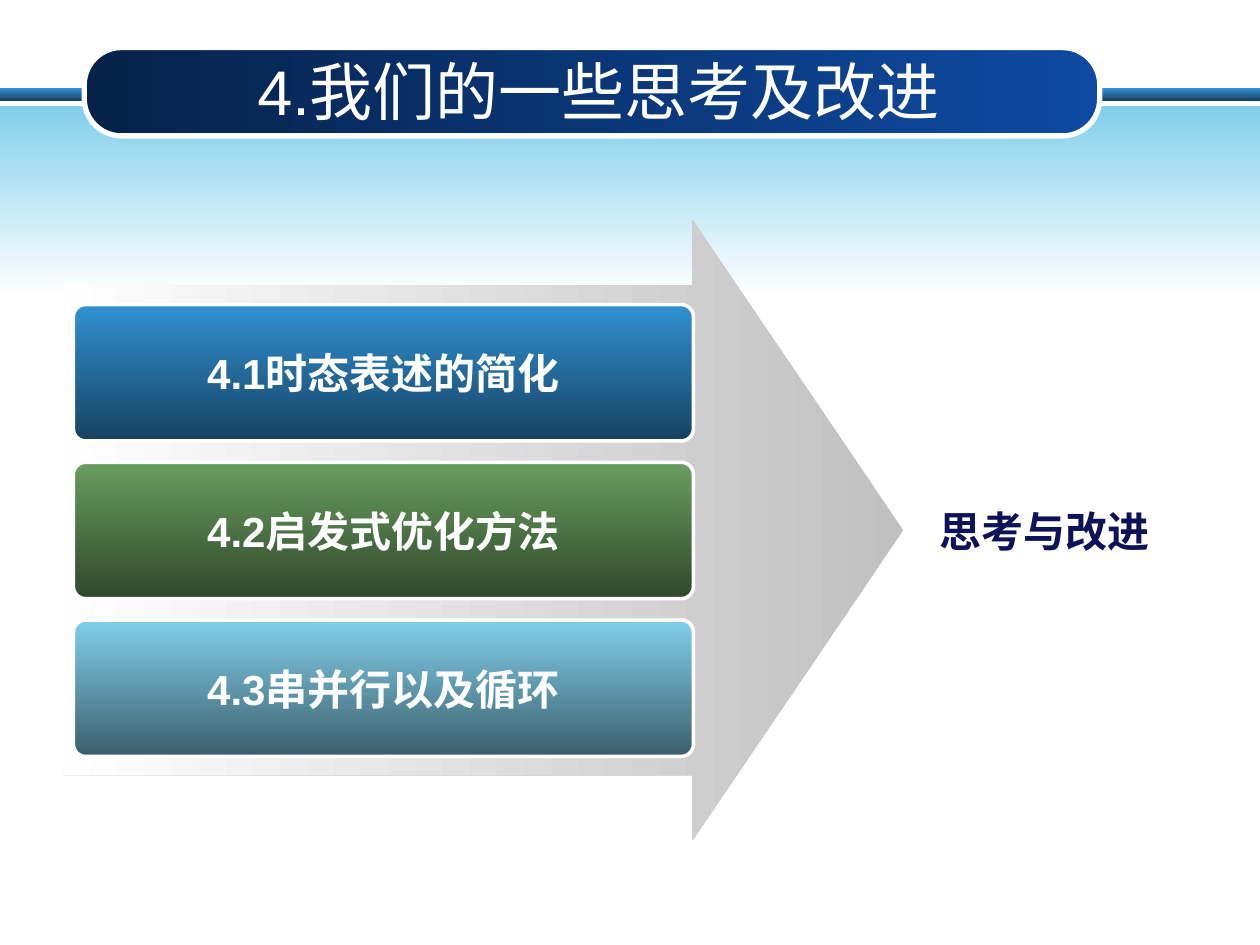
from pptx import Presentation
from pptx.dml.color import RGBColor
from pptx.enum.shapes import MSO_SHAPE
from pptx.enum.text import MSO_ANCHOR, PP_ALIGN
from pptx.util import Cm, Pt

RECTANGLE = MSO_SHAPE.RECTANGLE
ROUNDED = MSO_SHAPE.ROUNDED_RECTANGLE
RIGHT_ARROW = MSO_SHAPE.RIGHT_ARROW
MIDDLE = MSO_ANCHOR.MIDDLE
CENTER = PP_ALIGN.CENTER

# Content
TITLE = "4.我们的一些思考及改进"
TOPICS = [
    ("4.1时态表述的简化", "blue"),
    ("4.2启发式优化方法", "green"),
    ("4.3串并行以及循环", "sky"),
]
CONCLUSION = "思考与改进"

# Each gradient: start colour, end colour, clockwise angle
THEME = {
    "font": "Arial",
    "title_size": 36,
    "body_size": 24,
    "white": "FFFFFF",
    "navy": "0D1259",
    "blue": ("3191D3", "164261", 90),
    "green": ("699D5F", "30482B", 90),
    "sky": ("81CFEB", "3B5F6C", 90),
    "haze": ("81CFEB", "FEFEFE", 90),
    "title_pill": ("0E4AA2", "06224A", 180),
    "arrow": ("C0C0C0", "FEFEFE", 180),
}

# Layout in centimetres
SLIDE_WIDTH, SLIDE_HEIGHT = 25.4, 19.05
BAR_LEFT, BAR_TOP, BAR_WIDTH, BAR_HEIGHT = 1.48, 6.14, 12.5, 2.75
BAR_PITCH = 3.18


def add_shape(slide, kind, box, gradient, adjustments=(), outline=None):
    shape = slide.shapes.add_shape(kind, *map(Cm, box))
    shape.shadow.inherit = False
    for index, value in enumerate(adjustments):
        shape.adjustments[index] = value
    start, end, angle = THEME[gradient]
    shape.fill.gradient()
    shape.fill.gradient_angle = 360 - angle
    for stop, position, shade in zip(shape.fill.gradient_stops, (0, 1), (start, end)):
        stop.position = position
        stop.color.rgb = RGBColor.from_string(shade)
    if outline:
        shape.line.color.rgb = RGBColor.from_string(THEME["white"])
        shape.line.width = Pt(outline)
    else:
        shape.line.fill.background()
    return shape


def write(shape, text, size, shade, bold=True, wrap=True):
    frame = shape.text_frame
    frame.word_wrap = wrap
    frame.vertical_anchor = MIDDLE
    paragraph = frame.paragraphs[0]
    paragraph.alignment = CENTER
    run = paragraph.add_run()
    run.text = text
    run.font.name = THEME["font"]
    run.font.size = Pt(THEME[size])
    run.font.bold = bold
    run.font.color.rgb = RGBColor.from_string(THEME[shade])


def add_text(slide, box, *args, **options):
    write(slide.shapes.add_textbox(*map(Cm, box)), *args, **options)


def main():
    presentation = Presentation()
    presentation.slide_width = Cm(SLIDE_WIDTH)
    presentation.slide_height = Cm(SLIDE_HEIGHT)
    slide = presentation.slides.add_slide(presentation.slide_layouts[6])

    # Header bands and title
    add_shape(slide, RECTANGLE, (0, 1.78, SLIDE_WIDTH, 0.25), "blue")
    add_shape(slide, RECTANGLE, (0, 2.13, SLIDE_WIDTH, 3.78), "haze")
    add_shape(slide, ROUNDED, (1.7, 0.96, 20.47, 1.78), "title_pill", [0.42], 3)
    add_text(slide, (2.33, 1.04, 19.48, 1.57), TITLE, "title_size", "white", bold=False)

    # Arrow from the topics to the conclusion
    add_shape(slide, RIGHT_ARROW, (1.27, 4.44, 16.94, 12.5), "arrow", [0.79, 0.34])

    # Topic bars
    for index, (topic, gradient) in enumerate(TOPICS):
        box = (BAR_LEFT, BAR_TOP + index * BAR_PITCH, BAR_WIDTH, BAR_HEIGHT)
        bar = add_shape(slide, ROUNDED, box, gradient, [0.09], 2)
        write(bar, topic, "body_size", "white", wrap=False)

    # Conclusion
    add_text(slide, (17.57, 8.89, 6.98, 3.6), CONCLUSION, "body_size", "navy")

    presentation.save("out.pptx")


if __name__ == "__main__":
    main()
